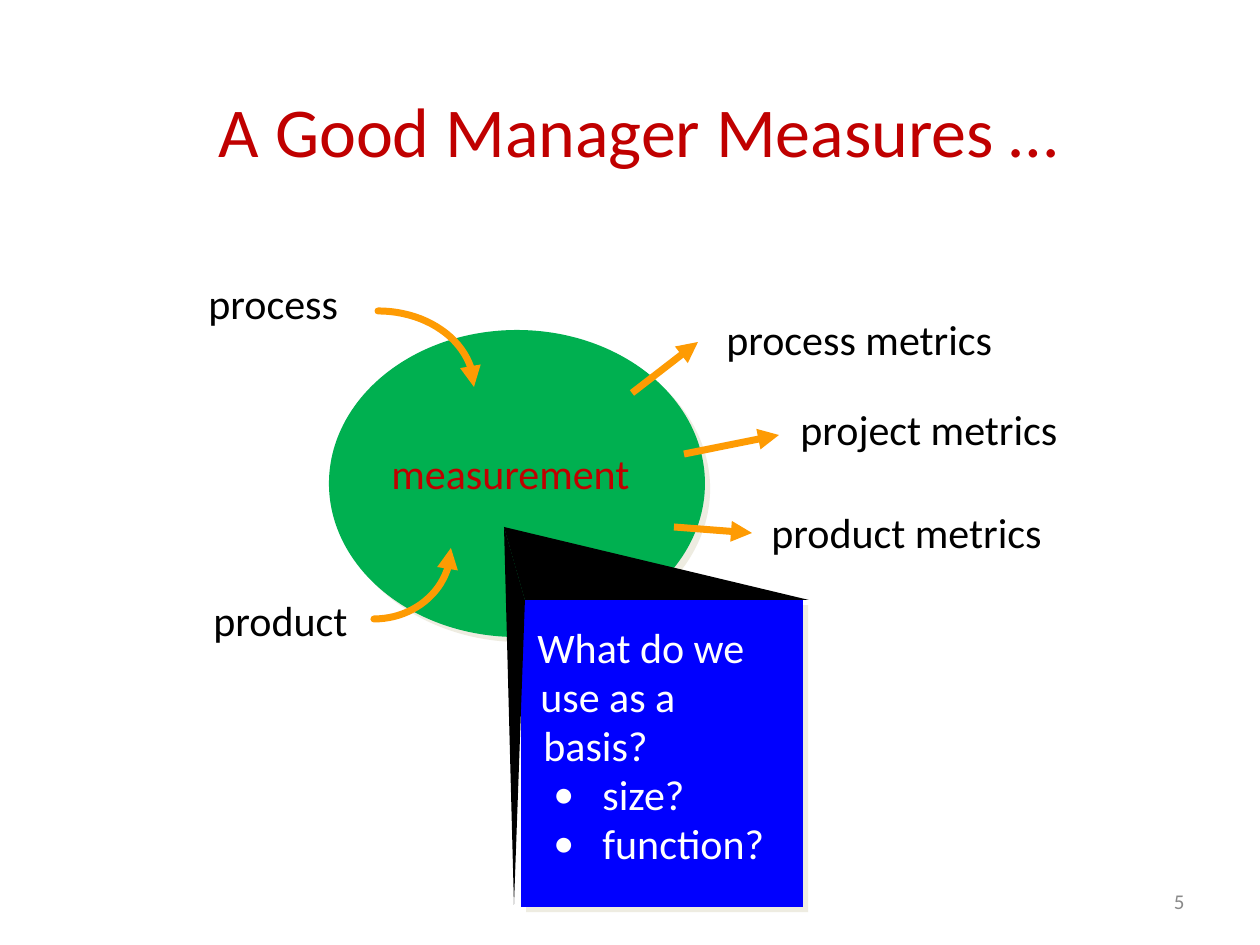
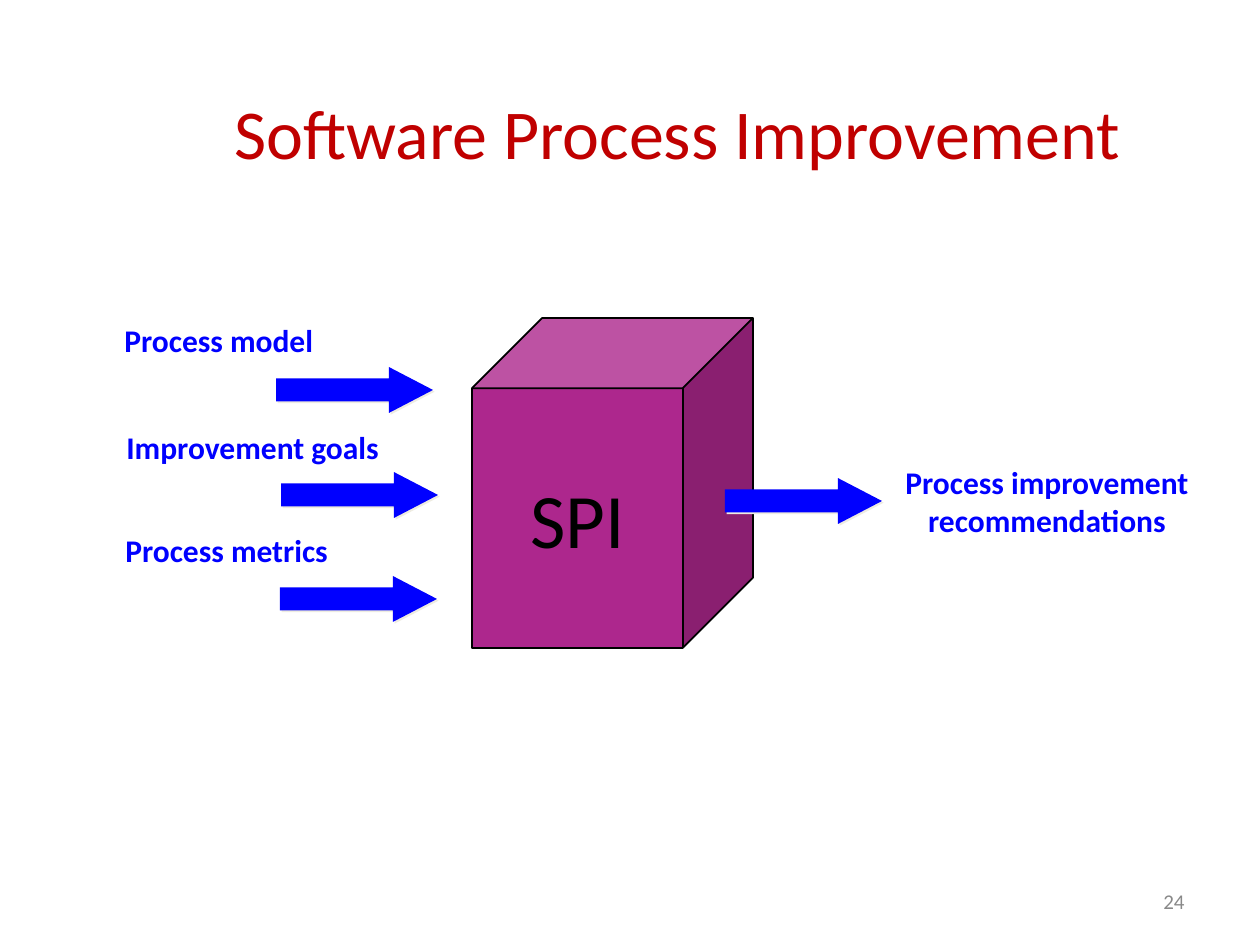
from math import cos, pi, sin

from lxml.etree import SubElement
from pptx import Presentation
from pptx.dml.color import RGBColor
from pptx.enum.shapes import MSO_CONNECTOR as Connector, MSO_SHAPE as Shape
from pptx.enum.text import MSO_ANCHOR as Anchor, MSO_AUTO_SIZE as AutoSize, PP_ALIGN as Align
from pptx.oxml.ns import qn
from pptx.util import Pt

PX = 914400 / 126
COLORS = {
    "title": "C00000", "number": "898989", "label": "000000", "disc": "00B050",
    "blue": "0000FF", "panel_text": "FFFFFF", "flow": "FE9B03",
    "cube": "AD278D", "shadow": "EEECE1",
}
FONTS = {
    "title": {"size": Pt(40), "color": "title"},
    "number": {"size": Pt(12), "color": "number"},
    "label": {"size": Pt(24), "color": "label"},
    "measurement": {"size": Pt(24), "color": "title"},
    "panel": {"size": Pt(24), "color": "panel_text"},
    "input": {"size": Pt(18), "bold": True, "color": "blue"},
    "cube": {"size": Pt(44), "color": "label"},
}


def px(*lengths):
    """Turn pixel lengths into EMU."""
    return [round(length * PX) for length in lengths]


def rgb(color):
    """Look up a named colour."""
    return RGBColor.from_string(COLORS[color])


def apply(target, values):
    """Set each attribute named in a dict."""
    for name, value in values.items():
        setattr(target, name, value)


def style(paragraph, font_key, align):
    """Give a paragraph its alignment and font."""
    look = {"name": "Calibri", **FONTS[font_key]}
    color = look.pop("color")
    paragraph.alignment = align
    apply(paragraph.font, look)
    paragraph.font.color.rgb = rgb(color)


def write(frame, lines, font_key, align=Align.LEFT, **layout):
    """Fill a text frame with styled lines."""
    apply(frame, {"word_wrap": False, "vertical_anchor": Anchor.TOP, **layout})
    frame.text = "\n".join(lines)
    for paragraph in frame.paragraphs:
        style(paragraph, font_key, align)


def add_label(slide, text, left, top, width, height=63, font_key="label", **layout):
    """Add a text box of one or more lines."""
    box = slide.shapes.add_textbox(*px(left, top, width, height))
    write(box.text_frame, text.split("\n"), font_key, **layout)
    return box


def add_titled_slide(deck, title, place, number, **layout):
    """Add a slide with its title and page number."""
    slide = deck.slides.add_slide(deck.slide_layouts[5])
    heading = slide.shapes.title
    apply(heading, dict(zip(("left", "top", "width", "height"), px(*place))))
    write(heading.text_frame, [title], "title", Align.CENTER,
          **{"word_wrap": True, "auto_size": AutoSize.NONE, **layout})
    add_label(slide, number, 903, 876, 294, 50, "number", align=Align.RIGHT,
              word_wrap=True, vertical_anchor=Anchor.MIDDLE)
    return slide


def paint(shape, fill, shadow_pt=0):
    """Fill a shape without outline, with an optional hard shadow."""
    shape.shadow.inherit = False
    shape.fill.solid()
    shape.fill.fore_color.rgb = rgb(fill)
    shape.line.fill.background()
    if shadow_pt:
        effects = shape.element.spPr.find(qn("a:effectLst"))
        cast = SubElement(effects, qn("a:outerShdw"), dist=str(Pt(shadow_pt)),
                          dir="2700000", algn="ctr", rotWithShape="0")
        SubElement(cast, qn("a:srgbClr"), val=COLORS["shadow"])


def add_solid(slide, kind, place, fill, shadow_pt=0):
    """Add a filled preset shape."""
    shape = slide.shapes.add_shape(kind, *px(*place))
    paint(shape, fill, shadow_pt)
    return shape


def add_outline(slide, points, close):
    """Add a freeform through pixel points."""
    start, *rest = [px(*point) for point in points]
    builder = slide.shapes.build_freeform(*start)
    builder.add_line_segments(rest, close=close)
    return builder.convert_to_shape()


def draw_flow(line, cap="flat"):
    """Make a line an orange arrow."""
    line.color.rgb = rgb("flow")
    line.width = Pt(4)
    outline = line._get_or_add_ln()
    outline.set("cap", cap)
    SubElement(outline, qn("a:tailEnd"), type="triangle")


def add_curved_flow(slide, start, end, steps=24):
    """Add a quarter-ellipse arrow that leaves its start horizontally."""
    (x0, y0), (x1, y1) = start, end
    angles = [pi / 2 * step / steps for step in range(steps + 1)]
    points = [(x0 + (x1 - x0) * sin(a), y1 - (y1 - y0) * cos(a)) for a in angles]
    curve = add_outline(slide, points, close=False)
    curve.shadow.inherit = False
    curve.fill.background()
    draw_flow(curve.line, "rnd")


def add_straight_flow(slide, start, end):
    """Add a straight arrow."""
    flow = slide.shapes.add_connector(Connector.STRAIGHT, *px(*start, *end))
    draw_flow(flow.line)
    SubElement(flow.element.spPr, qn("a:effectLst"))


def indent_line(paragraph, left, hang=0):
    """Indent a line, with a hanging bullet where a hang is given."""
    properties = paragraph._p.get_or_add_pPr()
    margin, offset = px(left, -hang)
    properties.set("marL", str(margin))
    properties.set("indent", str(offset))
    if hang:
        for tag, values in (("a:buFont", {"typeface": "Calibri"}),
                            ("a:buChar", {"char": "•"})):
            properties.insert_element_before(
                properties.makeelement(qn(tag), values),
                "a:tabLst", "a:defRPr", "a:extLst")


def add_question(slide, question, choices):
    """Add the question lines and their bulleted choices."""
    box = add_label(slide, "\n".join(question + choices), 525, 617, 258, 263, "panel")
    for index, paragraph in enumerate(box.text_frame.paragraphs):
        paragraph.line_spacing = Pt(28)
        if index < len(question):
            indent_line(paragraph, 3 * index)
        else:
            indent_line(paragraph, 65, 49)


def add_block_arrow(slide, left, top):
    """Add a blue block arrow."""
    arrow = add_solid(slide, Shape.RIGHT_ARROW, (left, top, 157, 46), "blue", 1.4)
    arrow.adjustments[1] = 0.96


def build_measures(deck):
    """Build the slide on what a manager measures."""
    side, end_side, edge = px(9, 41, 4)
    slide = add_titled_slide(deck, "A Good Manager Measures …", (179, 84, 951, 92), "5",
                             margin_left=side, margin_right=end_side,
                             margin_top=edge, margin_bottom=edge)
    add_solid(slide, Shape.OVAL, (329, 330, 376, 307), "disc", 4.2)
    add_solid(slide, Shape.RECTANGLE, (521, 600, 282, 307), "blue", 4.2)
    add_label(slide, "measurement", 379, 441, 265, font_key="measurement")
    add_question(slide, ["What do we", "use as a", "basis?"], ["size?", "function?"])
    for text, left, top, width in (
        ("process", 196, 271, 155), ("product", 201, 588, 160),
        ("process metrics", 714, 307, 292), ("project metrics", 788, 397, 284),
        ("product metrics", 759, 500, 296),
    ):
        add_label(slide, text, left, top, width)
    add_curved_flow(slide, (378, 311), (474, 387))
    add_curved_flow(slide, (374, 619), (451, 548))
    for start, end in (
        ((632, 393), (698, 342)), ((684, 454), (779, 435)), ((674, 527), (752, 533)),
    ):
        add_straight_flow(slide, start, end)
    apex, corner = (504, 527), (525, 600)
    for far_point in ((809, 600), (514, 905)):
        paint(add_outline(slide, (apex, far_point, corner), close=True), "label")


def build_improvement(deck):
    """Build the slide on software process improvement."""
    slide = add_titled_slide(deck, "Software Process Improvement", (95, 64, 1165, 136),
                             "24", vertical_anchor=Anchor.MIDDLE)
    cube = add_solid(slide, Shape.CUBE, (472, 318, 281, 330), "cube")
    cube.line.color.rgb = rgb("label")
    cube.line.width = Pt(1)
    write(cube.text_frame, ["SPI"], "cube", Align.CENTER, vertical_anchor=Anchor.MIDDLE)
    for text, left, top, width, arrow_left, arrow_top in (
        ("Process model", 112, 315, 214, 276, 367),
        ("Improvement goals", 114, 422, 278, 281, 472),
        ("Process metrics", 113, 525, 228, 280, 576),
    ):
        add_block_arrow(slide, arrow_left, arrow_top)
        add_label(slide, text, left, top, width, 50, "input")
    add_block_arrow(slide, 725, 478)
    add_label(slide, "Process improvement\nrecommendations", 892, 457, 310, 88, "input",
              align=Align.CENTER)


def main():
    """Build and save the deck."""
    deck = Presentation()
    deck.slide_width, deck.slide_height = px(1260, 945)
    build_measures(deck)
    build_improvement(deck)
    deck.save("out.pptx")


if __name__ == "__main__":
    main()
